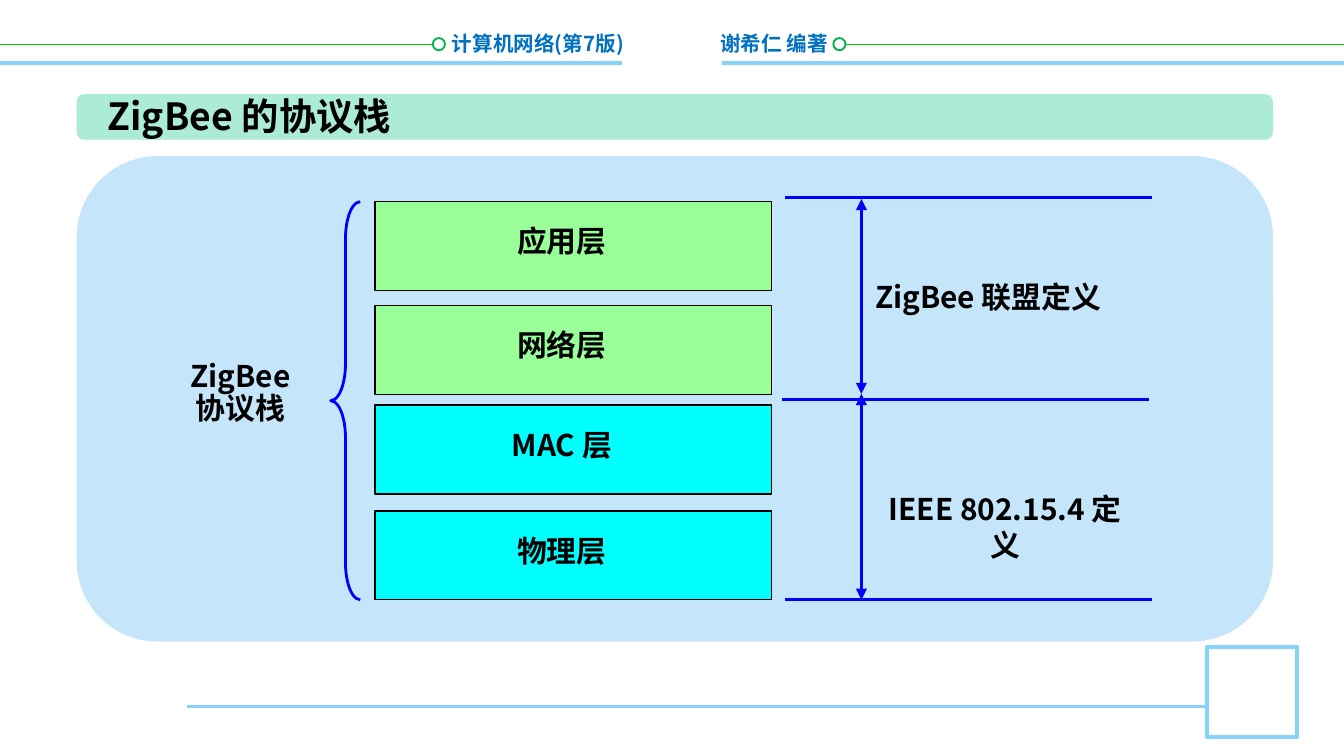
from dataclasses import dataclass

from lxml.etree import SubElement
from pptx import Presentation
from pptx.dml.color import RGBColor
from pptx.enum.shapes import MSO_CONNECTOR as Link, MSO_SHAPE as Kind
from pptx.enum.text import MSO_ANCHOR as Anchor, PP_ALIGN as Align
from pptx.oxml.ns import qn
from pptx.util import Cm, Pt


@dataclass(frozen=True)
class Theme:
    font: str = "Noto Sans CJK SC"
    ink: str = "000000"
    white: str = "FFFFFF"
    head: str = "0070C0"
    sky: str = "85D1F7"
    green: str = "00CC00"
    ring: str = "00B050"
    bar: str = "ABEBD7"
    panel: str = "C5E5FB"
    upper: str = "99FF99"
    lower: str = "00FFFF"
    blue: str = "0000FF"
    title: int = 20
    body: int = 16
    small: int = 11


class Deck:
    """Holds the theme and the current slide; all lengths are in cm."""

    def __init__(self, theme, slide):
        self.theme = theme
        self.slide = slide
        self.shapes = slide.shapes

    def shape(self, kind, x, y, w, h, fill=None, line=None, width=1.0):
        item = self.shapes.add_shape(kind, Cm(x), Cm(y), Cm(w), Cm(h))
        item.shadow.inherit = False
        if fill:
            item.fill.solid()
            item.fill.fore_color.rgb = RGBColor.from_string(fill)
        else:
            item.fill.background()
        if line:
            item.line.color.rgb = RGBColor.from_string(line)
            item.line.width = Pt(width)
        else:
            item.line.fill.background()
        return item

    def line(self, x1, y1, x2, y2, color, width, arrows=False):
        item = self.shapes.add_connector(
            Link.STRAIGHT, Cm(x1), Cm(y1), Cm(x2), Cm(y2))
        item.line.color.rgb = RGBColor.from_string(color)
        item.line.width = Pt(width)
        if arrows:
            for end in ("a:headEnd", "a:tailEnd"):
                SubElement(item.line._get_or_add_ln(), qn(end), type="triangle")
        SubElement(item._element.spPr, qn("a:effectLst"))

    def put(self, frame, lines, size, color, align, space=1.0):
        """Fill a text frame, one paragraph for each line."""
        for i, text in enumerate(lines):
            para = frame.add_paragraph() if i else frame.paragraphs[0]
            para.alignment = align
            para.line_spacing = space
            run = para.add_run()
            run.text = text
            font = run.font
            font.size, font.bold, font.name = Pt(size), True, self.theme.font
            font.color.rgb = RGBColor.from_string(color)
            SubElement(run._r.get_or_add_rPr(), qn("a:ea"),
                       typeface=self.theme.font)

    def text(self, x, y, w, h, lines, size=None, color=None,
             align=Align.CENTER, wrap=False, space=1.0):
        box = self.shapes.add_textbox(Cm(x), Cm(y), Cm(w), Cm(h))
        box.text_frame.word_wrap = wrap
        self.put(box.text_frame, lines, size or self.theme.body,
                 color or self.theme.ink, align, space)

    def title(self, x, y, w, h, text):
        """Fill the title placeholder and lift it above the shapes so far."""
        item = self.shapes.title
        item.left, item.top, item.width, item.height = map(Cm, (x, y, w, h))
        frame = item.text_frame
        frame.word_wrap = True
        frame.vertical_anchor = Anchor.MIDDLE
        self.put(frame, [text], self.theme.title, self.theme.ink, Align.LEFT)
        item._element.getparent().append(item._element)


def border(deck):
    """Draw the running header and the footer."""
    t = deck.theme
    deck.line(3.53, 13.34, 22.81, 13.34, t.sky, 1.5)
    deck.shape(Kind.RECTANGLE, 22.81, 12.22, 1.7, 1.7, t.white, t.sky, 2)
    deck.line(0, 1.19, 25.4, 1.19, t.sky, 2)
    deck.shape(Kind.RECTANGLE, 11.76, 0.36, 1.88, 1.3, t.white)
    deck.text(13.36, 0.46, 2.95, 0.74, ["谢希仁 编著"],
              t.small, t.head, Align.LEFT, True)
    deck.text(8.23, 0.46, 3.81, 0.74, ["计算机网络(第7版)"],
              t.small, t.head, Align.RIGHT, True)
    for start, end, dot in ((0, 8.23, 8.18), (15.75, 25.4, 15.75)):
        deck.line(start, 0.84, end, 0.84, t.green, 1)
        deck.shape(Kind.OVAL, dot, 0.72, 0.23, 0.23, t.white, t.ring, 1)


def stack(deck):
    """Draw the protocol layers with the brace that names them."""
    t = deck.theme
    layers = (("应用层", 3.81, t.upper), ("网络层", 5.77, t.upper),
              ("MAC 层", 7.65, t.lower), ("物理层", 9.65, t.lower))
    for name, top, fill in layers:
        deck.shape(Kind.RECTANGLE, 7.09, top, 7.49, 1.68, fill, t.ink, 0.75)
        deck.text(9.3, top + 0.28, 2.64, 0.94, [name])
    brace = deck.shape(Kind.LEFT_BRACE, 6.25, 3.81, 0.56, 7.52,
                       line=t.blue, width=1.5)
    brace.adjustments[0] = 1.24
    deck.text(3.3, 6.71, 2.49, 1.5, ["ZigBee", "协议栈"], space=0.9)


def scope(deck):
    """Draw who defines which layers."""
    blue = deck.theme.blue
    for x, y in ((14.83, 3.73), (14.78, 7.54), (14.83, 11.33)):
        deck.line(x, y, x + 6.94, y, blue, 1.5)
    for top, end in ((3.76, 7.44), (7.44, 11.33)):
        deck.line(16.28, top, 16.28, end, blue, 1.5, True)
    deck.text(16.21, 5.13, 4.93, 0.94, ["ZigBee 联盟定义"])
    deck.text(16.33, 9.14, 5.34, 0.94, ["IEEE 802.15.4 定义"], wrap=True)


def main():
    show = Presentation()
    show.slide_width, show.slide_height = Cm(25.4), Cm(14.28)
    theme = Theme()
    deck = Deck(theme, show.slides.add_slide(show.slide_layouts[5]))
    border(deck)
    deck.shape(Kind.ROUNDED_RECTANGLE, 1.45, 1.78, 22.61, 0.86, theme.bar)
    deck.shape(Kind.ROUNDED_RECTANGLE, 1.45, 2.95, 22.61, 9.17, theme.panel)
    deck.title(1.78, 1.63, 7, 1.12, "ZigBee 的协议栈")
    stack(deck)
    scope(deck)
    show.save("out.pptx")


if __name__ == "__main__":
    main()
